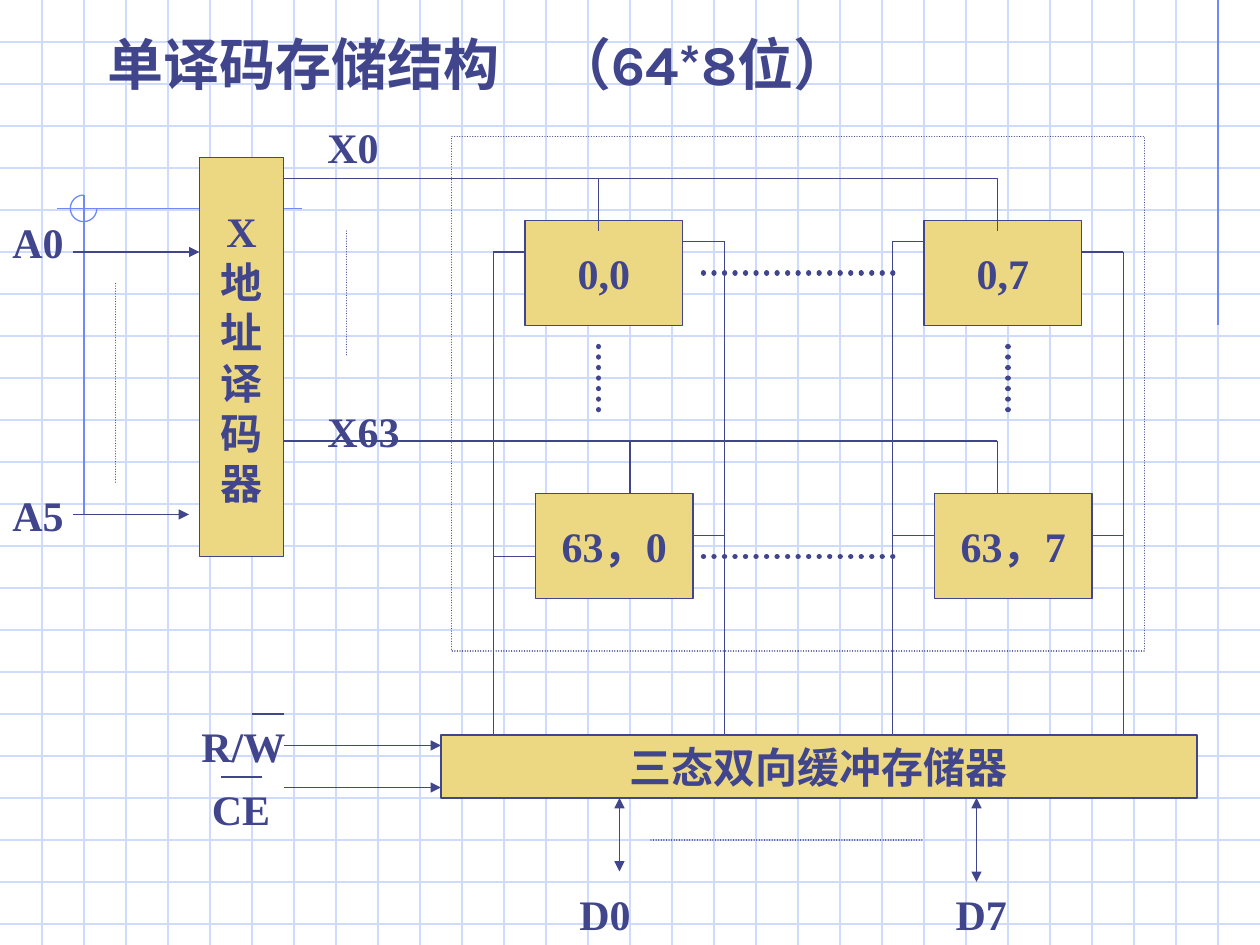
from lxml import etree
from pptx import Presentation
from pptx.dml.color import RGBColor
from pptx.enum import dml, shapes, text
from pptx.oxml import ns
from pptx.util import Pt

COLORS = {"ink": "40458C", "gold": "ECD882", "grid": "CFDBFD", "accent": "6F89F7"}
HAIR = 0.74
LABEL_H = 36


def rgb(name):
    return RGBColor.from_string(COLORS[name])


def apply(target, values):
    for name, value in values.items():
        setattr(target, name, value)


def write(frame, lines, size=24, face="Times New Roman", align="LEFT", tab=None):
    """Fill a text frame, one paragraph per line, with an optional tab stop."""
    for number, line in enumerate(lines):
        para = frame.paragraphs[0] if number == 0 else frame.add_paragraph()
        para.alignment = getattr(text.PP_ALIGN, align)
        span = para.add_run()
        span.text = line
        apply(span.font, {"size": Pt(size), "name": face, "bold": True})
        span.font.color.rgb = rgb("ink")
        if tab:
            properties = para._p.get_or_add_pPr()
            stops = etree.SubElement(properties, ns.qn("a:tabLst"))
            etree.SubElement(stops, ns.qn("a:tab"), pos=str(Pt(tab)), algn="l")


def outline(shape, color="ink", width=HAIR, dotted=False):
    shape.line.color.rgb = rgb(color)
    shape.line.width = Pt(width)
    if dotted:
        shape.line.dash_style = dml.MSO_LINE.ROUND_DOT
        shape.element.find(".//" + ns.qn("a:ln")).set("cap", "rnd")


def wires(page, box, routes, ends=(), **look):
    """Draw straight lines given as x1, y1, x2, y2 relative to the box."""
    left, top = box[:2]
    for x1, y1, x2, y2 in routes:
        wire = page.shapes.add_connector(
            shapes.MSO_CONNECTOR.STRAIGHT,
            Pt(left + x1), Pt(top + y1), Pt(left + x2), Pt(top + y2))
        outline(wire, **look)
        stroke = wire.element.find(".//" + ns.qn("a:ln"))
        for end in ends:
            etree.SubElement(stroke, ns.qn("a:" + end), type="triangle")
        etree.SubElement(wire.element.spPr, ns.qn("a:effectLst"))


def block(page, box, lines=(), fill="gold", kind="RECTANGLE", **look):
    shape = page.shapes.add_shape(
        getattr(shapes.MSO_SHAPE, kind), *[Pt(length) for length in box])
    shape.shadow.inherit = False
    if fill:
        shape.fill.solid()
        shape.fill.fore_color.rgb = rgb(fill)
    else:
        shape.fill.background()
    outline(shape, **look)
    apply(shape.text_frame, {"word_wrap": False,
                             "vertical_anchor": text.MSO_ANCHOR.MIDDLE})
    write(shape.text_frame, lines, align="CENTER")
    return shape


def label(page, box, x, y, width, words, tab=None):
    area = page.shapes.add_textbox(
        Pt(box[0] + x), Pt(box[1] + y), Pt(width), Pt(LABEL_H))
    area.text_frame.word_wrap = True
    write(area.text_frame, [words], tab=tab)


def background(page, box):
    left, top, width, height = box
    step = 24
    wires(page, box, [(0, y, width, y) for y in range(step, height, step)], color="grid")
    wires(page, box, [(x, 0, x, height) for x in range(step, width, step)], color="grid")
    # Corner ornament
    wires(page, box, [(696, 0, 696, 186), (172.8, 119.3, 32.4, 119.3),
                      (48, 111.6, 48, 294.5)], color="accent")
    arc = block(page, (left + 40.2, top + 111.5, 15.2, 15.2), fill=None,
                kind="ARC", color="accent")
    arc.adjustments[0] = 0
    arc.adjustments[1] = 162


def title(page, box):
    heading = page.shapes.title
    apply(heading, dict(zip(("left", "top", "width", "height"), map(Pt, box))))
    apply(heading.text_frame, {"word_wrap": True, "auto_size": text.MSO_AUTO_SIZE.NONE,
                               "vertical_anchor": text.MSO_ANCHOR.MIDDLE})
    write(heading.text_frame, ["单译码存储结构\t（64*8位）"], size=32, face="Karla", tab=256)
    # Bring the title in front of the grid
    heading.element.getparent().append(heading.element)


def cell_array(page, box):
    left, top, width, height = box
    block(page, box, fill=None, dotted=True)
    # Memory cells: the lower row sits 6 pt further right
    for row, (x, y) in {"0,": (42, 48), "63，": (48, 204)}.items():
        for column, shift in {"0": 0, "7": 228}.items():
            block(page, (left + x + shift, top + y, 90, 60), [row + column])
    # Omitted cells
    wires(page, box, [(144, y, 258, y) for y in (78, 240)], width=3, dotted=True)
    wires(page, box, [(x, 120, x, 162) for x in (84, 318)], width=3, dotted=True)
    # Word lines and their drops
    for y, drops in {24: (84, 312), 174: (102, 312)}.items():
        wires(page, box, [(-96, y, 312, y)])
        wires(page, box, [(x, y, x, y + 30) for x in drops])
    # Bit lines down to the buffer
    wires(page, box, [(x, y, x, height + 48)
                      for x, y in ((24, 66), (156, 60), (252, 60), (384, 66))])
    # Stubs from cells to bit lines
    stubs = {66: [(24, 42), (360, 384)], 60: [(132, 156), (252, 270)],
             240: [(24, 48)], 228: [(138, 156), (252, 276), (366, 384)]}
    for y, spans in stubs.items():
        wires(page, box, [(start, y, end, y) for start, end in spans])


def decoder(page, box):
    block(page, box, "X地址译码器")
    # Address inputs
    wires(page, box, [(-72, 54, 0, 54), (-72, 204, -6, 204)], ends=["tailEnd"])
    label(page, box, -114, 30, 72, "A0")
    label(page, box, -114, 186, 54, "A5")
    # Word line names
    label(page, box, 66, -24, 54, "X0")
    label(page, box, 66, 138, 60, "X63")
    wires(page, box, [(-48, 72, -48, 186), (84, 42, 84, 114)], dotted=True)


def buffer(page, box):
    block(page, box, ["三态双向缓冲存储器"])
    # Data lines
    wires(page, box, [(102, 78, 102, 36), (306, 84, 306, 36)],
          ends=["headEnd", "tailEnd"])
    wires(page, box, [(120, 60, 276, 60)], dotted=True)
    label(page, box, 72, 84, 288, "D0\tD7", tab=215)
    # Control inputs with overbars
    wires(page, box, [(-90, y, 0, y) for y in (6, 30)], ends=["tailEnd"])
    label(page, box, -144, -12, 72, "R/W")
    label(page, box, -138, 24, 72, "CE")
    wires(page, box, [(-108, -12, -90, -12), (-126, 24, -102, 24)])


deck = Presentation()
deck.slide_width, deck.slide_height = Pt(720), Pt(540)
page = deck.slides.add_slide(deck.slide_layouts[5])
background(page, (0, 0, 720, 540))
cell_array(page, (258, 78, 396, 294))
decoder(page, (114, 90, 48, 228))
buffer(page, (252, 420, 432, 36))
title(page, (54, 6, 612, 60))
deck.save("out.pptx")
